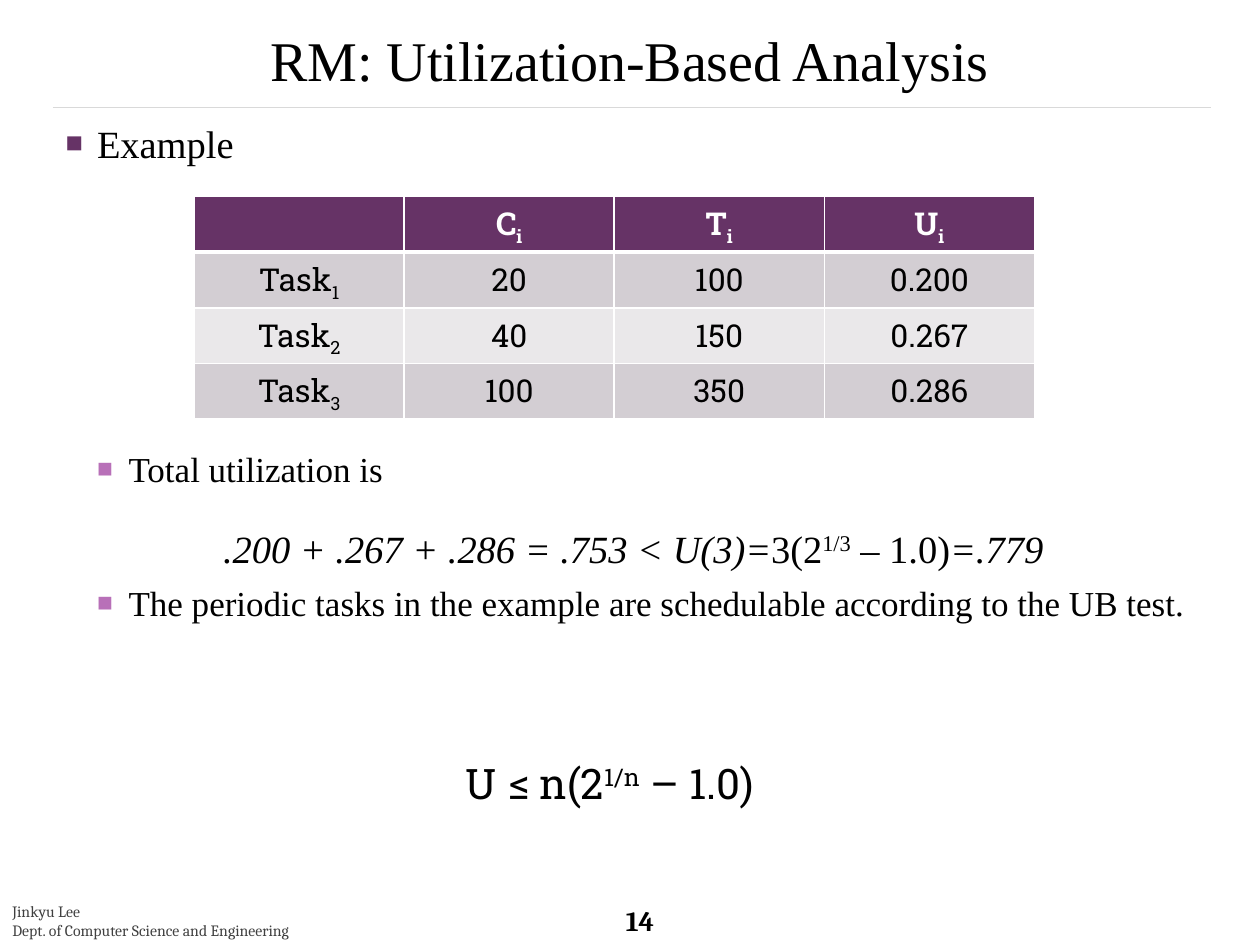
from dataclasses import dataclass

import pptx
import pptx.dml.color
import pptx.enum.shapes
import pptx.enum.text
import pptx.oxml
import pptx.oxml.ns
import pptx.util
from lxml import etree

Inches = pptx.util.Inches
Pt = pptx.util.Pt
qn = pptx.oxml.ns.qn
ALIGN = pptx.enum.text.PP_ALIGN
ANCHOR = pptx.enum.text.MSO_ANCHOR

COLORS = {
    "black": "000000", "white": "FFFFFF", "footer": "404040", "rule": "D9D9D9",
    "purple": "663366", "orchid": "B870B8", "band_dark": "D3CED3", "band_light": "EAE8EA",
}
SERIF, SLAB, FOOTER_FONT = "Times New Roman", "Roboto Slab", "Cambria"
SUPER, SUB = 30, -25


@dataclass
class Piece:
    text: str
    italic: bool = False
    baseline: int = 0


@dataclass
class Item:
    pieces: list[Piece]
    size: int
    margin: float
    hanging: float = 0
    level: int = 0
    before: float = 0
    bullet: str | None = None


@dataclass
class TaskRow:
    number: str
    cost: str
    period: str
    utilization: str


def rgb(name: str) -> pptx.dml.color.RGBColor:
    return pptx.dml.color.RGBColor.from_string(COLORS[name])


def write(paragraph, text, *, size=18, font=SERIF, color="black", bold=False, align=None) -> None:
    """Add text, given as a string or as a list of pieces, to a paragraph."""
    pieces = [Piece(text)] if isinstance(text, str) else text
    if align is not None:
        paragraph.alignment = align
    for piece in pieces:
        run = paragraph.add_run()
        run.text = piece.text
        run.font.size, run.font.name = Pt(size), font
        run.font.bold, run.font.italic = bold, piece.italic
        run.font.color.rgb = rgb(color)
        if piece.baseline:
            run._r.get_or_add_rPr().set("baseline", str(piece.baseline * 1000))


def set_indent(paragraph, margin: float, hanging: float = 0) -> None:
    properties = paragraph._p.get_or_add_pPr()
    properties.set("marL", str(Inches(margin)))
    properties.set("indent", str(-Inches(hanging)))


def set_bullet(paragraph, color: str | None) -> None:
    properties = paragraph._p.get_or_add_pPr()
    if color is None:
        etree.SubElement(properties, qn("a:buNone"))
        return
    bullet_color = etree.SubElement(properties, qn("a:buClr"))
    etree.SubElement(bullet_color, qn("a:srgbClr"), val=COLORS[color])
    etree.SubElement(properties, qn("a:buSzPct"), val="75000")
    etree.SubElement(properties, qn("a:buChar"), char="■")


def place(shape, left: float, top: float, width: float, height: float) -> None:
    shape.left, shape.top = Inches(left), Inches(top)
    shape.width, shape.height = Inches(width), Inches(height)


def add_text(slide, left: float, top: float, width: float, height: float):
    frame = slide.shapes.add_textbox(
        Inches(left), Inches(top), Inches(width), Inches(height)).text_frame
    frame.word_wrap = True
    return frame


def add_item(paragraph, item: Item) -> None:
    paragraph.level = item.level
    if item.before:
        paragraph.space_before = Pt(item.before)
    set_indent(paragraph, item.margin, item.hanging)
    set_bullet(paragraph, item.bullet)
    write(paragraph, item.pieces, size=item.size)


def format_cell(cell, pieces: list[Piece], fill: str, header: bool) -> None:
    properties = cell._tc.get_or_add_tcPr()
    for side in ("L", "R", "T", "B"):
        width = Pt(3 if header and side == "B" else 1)
        border = etree.SubElement(properties, qn(f"a:ln{side}"), w=str(width))
        border_fill = etree.SubElement(border, qn("a:solidFill"))
        etree.SubElement(border_fill, qn("a:srgbClr"), val=COLORS["white"])
    cell.fill.solid()
    cell.fill.fore_color.rgb = rgb(fill)
    write(cell.text_frame.paragraphs[0], pieces, font=SLAB, bold=header,
          color="white" if header else "black", align=ALIGN.CENTER)


def add_task_table(slide, tasks: list[TaskRow]) -> None:
    header = [[]] + [[Piece(symbol), Piece("i", baseline=SUB)] for symbol in "CTU"]
    body = [
        [[Piece("Task"), Piece(task.number, baseline=SUB)],
         [Piece(task.cost)], [Piece(task.period)], [Piece(task.utilization)]]
        for task in tasks
    ]
    rows = [header] + body
    table = slide.shapes.add_table(
        len(rows), 4, Inches(1.54), Inches(1.56), Inches(6.67), Inches(1.62)).table
    for r, row in enumerate(rows):
        fill = "purple" if r == 0 else ("band_dark" if r % 2 else "band_light")
        for c, pieces in enumerate(row):
            format_cell(table.cell(r, c), pieces, fill, r == 0)


def main() -> None:
    deck = pptx.Presentation()
    deck.slide_width, deck.slide_height = Inches(10), Inches(7.5)
    slide = deck.slides.add_slide(deck.slide_layouts[1])

    # Rule under the title
    rule = slide.shapes.add_connector(
        pptx.enum.shapes.MSO_CONNECTOR.STRAIGHT,
        Inches(0.42), Inches(0.85), Inches(9.61), Inches(0.85))
    rule.line.color.rgb = rgb("rule")
    rule.line.width = Pt(0.1)
    etree.SubElement(rule._element.spPr, qn("a:effectLst"))

    # Page number and footer
    page_number = add_text(slide, 4.87, 7.15, 0.66, 0.31)
    page_number.vertical_anchor = ANCHOR.MIDDLE
    write(page_number.paragraphs[0], "14", size=16, font=FOOTER_FONT, bold=True)
    footer = add_text(slide, 0, 7.11, 2.76, 0.4)
    write(footer.paragraphs[0], "Jinkyu Lee", size=9, font=FOOTER_FONT, color="footer")
    write(footer.add_paragraph(), "Dept. of Computer Science and Engineering",
          size=9, font=FOOTER_FONT, color="footer")

    # Title
    title = slide.shapes.title
    place(title, 0, 0.17, 10, 0.6)
    title.text_frame.auto_size = pptx.enum.text.MSO_AUTO_SIZE.NONE
    title.text_frame.vertical_anchor = ANCHOR.MIDDLE
    write(title.text_frame.paragraphs[0], "RM: Utilization-Based Analysis",
          size=32, align=ALIGN.CENTER)

    # Body list, with room for the table after the first item
    items = [
        Item([Piece("Example")], 22, 0.25, 0.25, bullet="purple"),
        Item([Piece("Total utilization is")], 20, 0.5, 0.25, 1, 161, "orchid"),
        Item([Piece(".200 + .267 + .286 = .753 < U(3)=", italic=True), Piece("3(2"),
              Piece("1/3", baseline=SUPER), Piece(" – 1.0)"), Piece("=.779", italic=True)],
             22, 1.25, before=20),
        Item([Piece("The periodic tasks in the example are schedulable according to the UB test.")],
             20, 0.5, 0.25, 1, 6, "orchid"),
    ]
    body = slide.placeholders[1]
    place(body, 0.42, 0.9, 9.19, 6.44)
    body.text_frame.auto_size = pptx.enum.text.MSO_AUTO_SIZE.NONE
    for i, item in enumerate(items):
        add_item(body.text_frame.add_paragraph() if i else body.text_frame.paragraphs[0], item)

    # Task set
    add_task_table(slide, [
        TaskRow("1", "20", "100", "0.200"),
        TaskRow("2", "40", "150", "0.267"),
        TaskRow("3", "100", "350", "0.286"),
    ])

    # Utilization bound
    bound = add_text(slide, 3.1, 5.96, 5, 0.5).paragraphs[0]
    set_indent(bound, 0.5)
    write(bound, [Piece("U ≤ n(2"), Piece("1/n", baseline=SUPER), Piece(" – 1.0)")],
          size=24, font=SLAB)

    deck.save("out.pptx")


if __name__ == "__main__":
    main()
